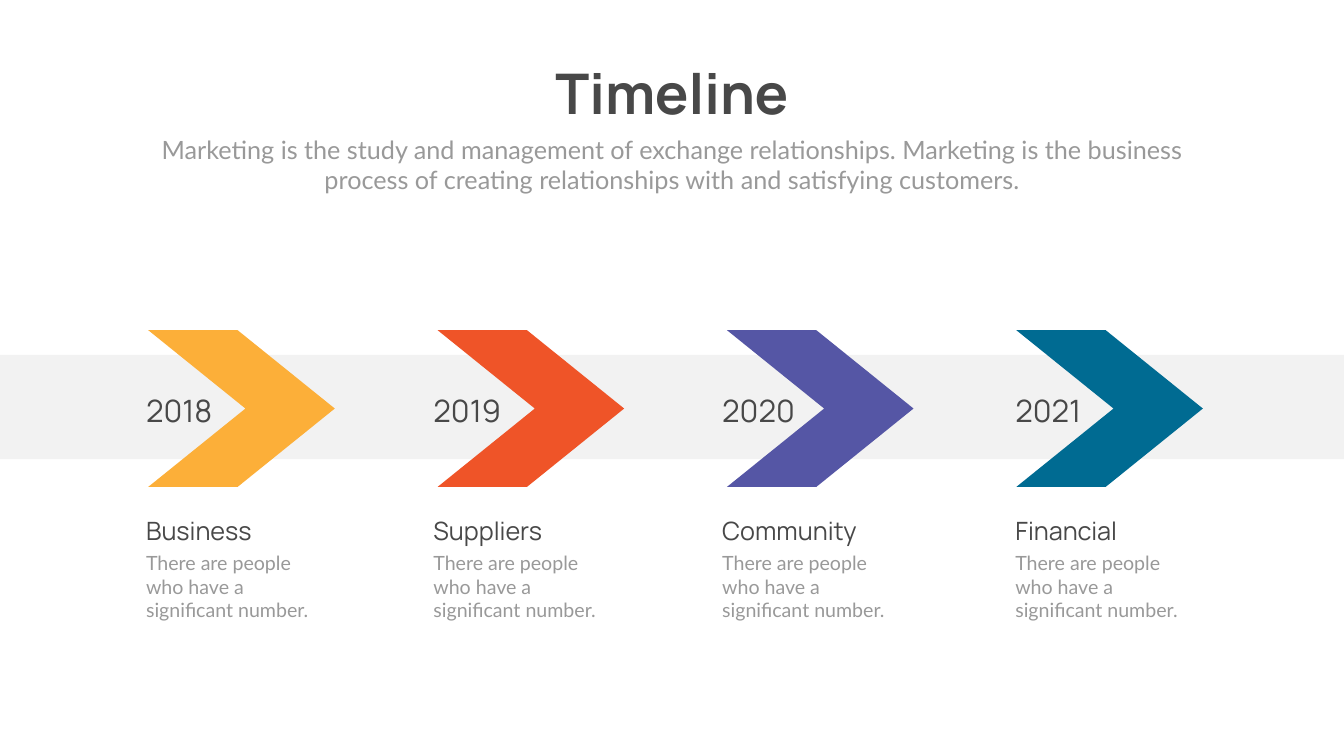
"""Build a four-step chevron timeline slide."""
from dataclasses import dataclass

from pptx import Presentation
from pptx.dml.color import RGBColor
from pptx.enum.shapes import MSO_SHAPE
from pptx.enum.text import MSO_AUTO_SIZE, PP_ALIGN
from pptx.util import Cm, Pt

CHEVRON, RECTANGLE = MSO_SHAPE.CHEVRON, MSO_SHAPE.RECTANGLE
LEFT, CENTER = PP_ALIGN.LEFT, PP_ALIGN.CENTER
GROW = MSO_AUTO_SIZE.SHAPE_TO_FIT_TEXT

SLIDE_WIDTH, SLIDE_HEIGHT = 67.72, 38.1
CHEVRON_LEFT, CHEVRON_STEP = 7.47, 14.58
SUBTITLE = (
    "Marketing is the study and management of exchange relationships. "
    "Marketing is the business process of creating relationships with "
    "and satisfying customers."
)
DESCRIPTION = "There are people who have a significant number."
MILESTONES = [
    ("2018", "Business", "FCAF39", 7.11),
    ("2019", "Suppliers", "EF5428", 21.59),
    ("2020", "Community", "5556A5", 36.14),
    ("2021", "Financial", "006B92", 50.91),
]


@dataclass(frozen=True)
class TextStyle:
    font: str
    size: int
    color: str
    bold: bool = False


@dataclass(frozen=True)
class Theme:
    band: str = "F2F2F2"
    title: TextStyle = TextStyle("Manrope", 80, "484848", True)
    subtitle: TextStyle = TextStyle("Lato", 36, "999999")
    year: TextStyle = TextStyle("Manrope", 44, "484848")
    heading: TextStyle = TextStyle("Manrope", 36, "484848")
    body: TextStyle = TextStyle("Lato", 28, "999999")


class SlideBuilder:
    def __init__(self, slide, theme):
        self.slide = slide
        self.theme = theme

    def block(self, kind, left, top, width, height, color):
        shape = self.slide.shapes.add_shape(
            kind, Cm(left), Cm(top), Cm(width), Cm(height)
        )
        shape.shadow.inherit = False
        shape.fill.solid()
        shape.fill.fore_color.rgb = RGBColor.from_string(color)
        shape.line.fill.background()
        return shape

    def chevron(self, left, color):
        shape = self.block(CHEVRON, left, 16.64, 9.4, 7.9, color)
        shape.adjustments[0] = 0.62

    def text(self, text, left, top, width, height, style, align=LEFT, wrap=True):
        box = self.slide.shapes.add_textbox(
            Cm(left), Cm(top), Cm(width), Cm(height)
        )
        frame = box.text_frame
        frame.word_wrap = wrap
        frame.auto_size = GROW
        paragraph = frame.paragraphs[0]
        paragraph.text = text
        paragraph.alignment = align
        font = paragraph.font
        font.name = style.font
        font.size = Pt(style.size)
        font.bold = style.bold
        font.color.rgb = RGBColor.from_string(style.color)

    def milestone(self, index, year, heading, color, text_left):
        theme = self.theme
        self.text(year, text_left, 19.61, 5.44, 2.13, theme.year)
        self.chevron(CHEVRON_LEFT + index * CHEVRON_STEP, color)
        self.text(heading, text_left, 25.83, 9.25, 1.8, theme.heading)
        self.text(DESCRIPTION, text_left, 27.64, 9.25, 3.84, theme.body)


def main():
    presentation = Presentation()
    presentation.slide_width = Cm(SLIDE_WIDTH)
    presentation.slide_height = Cm(SLIDE_HEIGHT)
    slide = presentation.slides.add_slide(presentation.slide_layouts[6])
    theme = Theme()
    builder = SlideBuilder(slide, theme)
    builder.block(RECTANGLE, 0, 17.88, SLIDE_WIDTH, 5.26, theme.band)
    builder.text("Timeline", 27.28, 2.84, 13.16, 3.68, theme.title, CENTER, False)
    builder.text(SUBTITLE, 7.42, 6.63, 52.88, 3.33, theme.subtitle, CENTER)
    for index, milestone in enumerate(MILESTONES):
        builder.milestone(index, *milestone)
    presentation.save("out.pptx")


if __name__ == "__main__":
    main()
